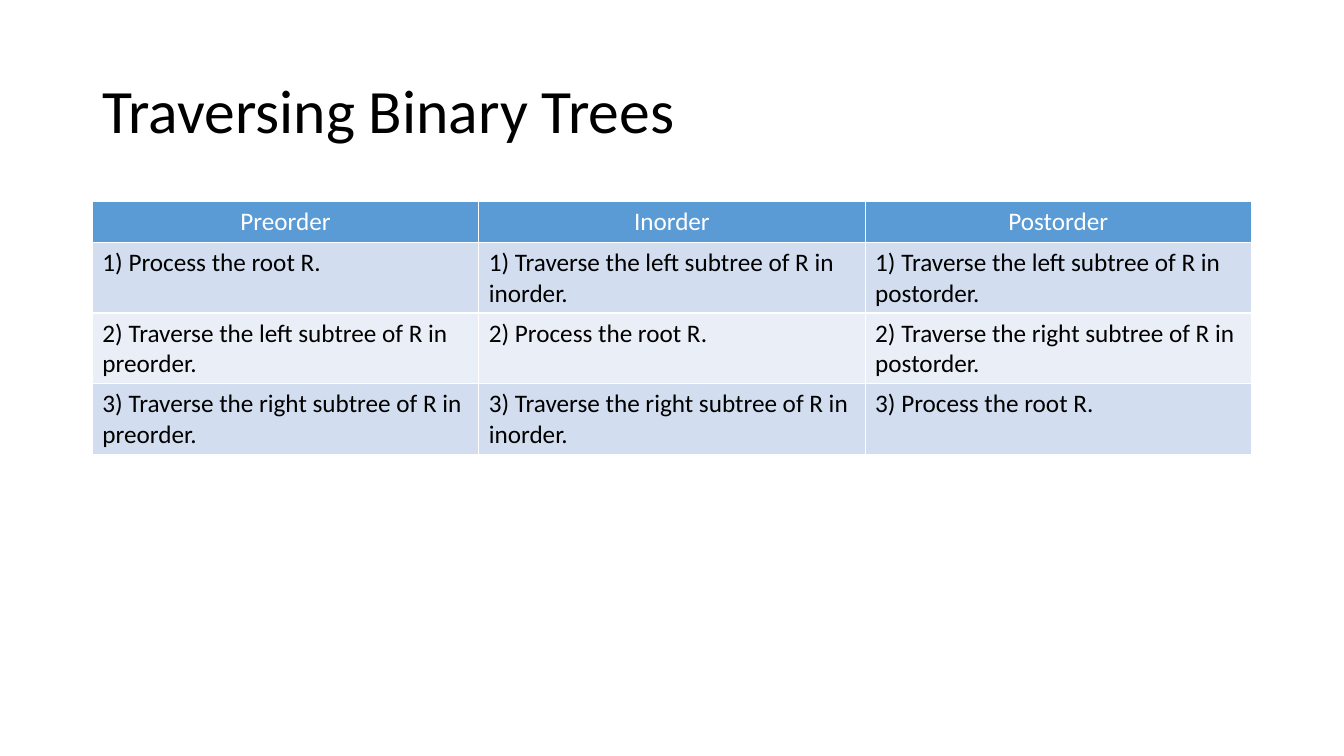
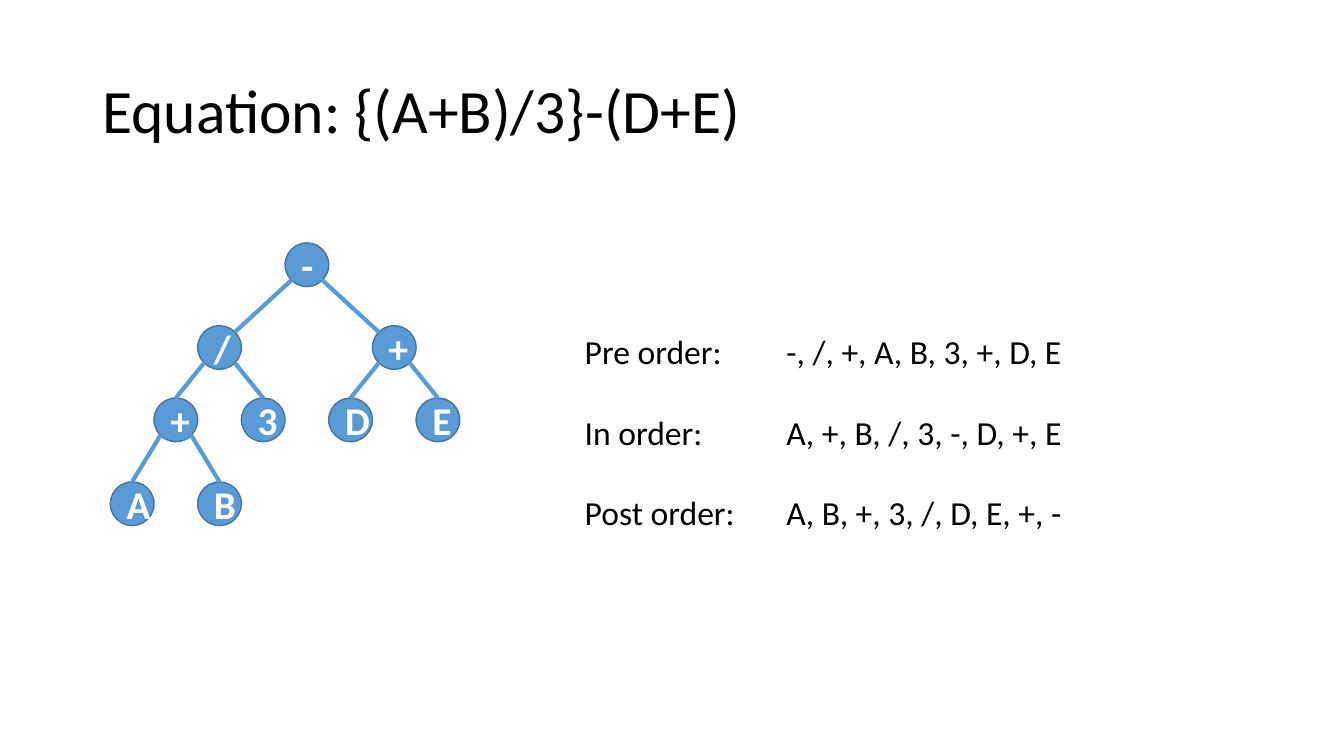
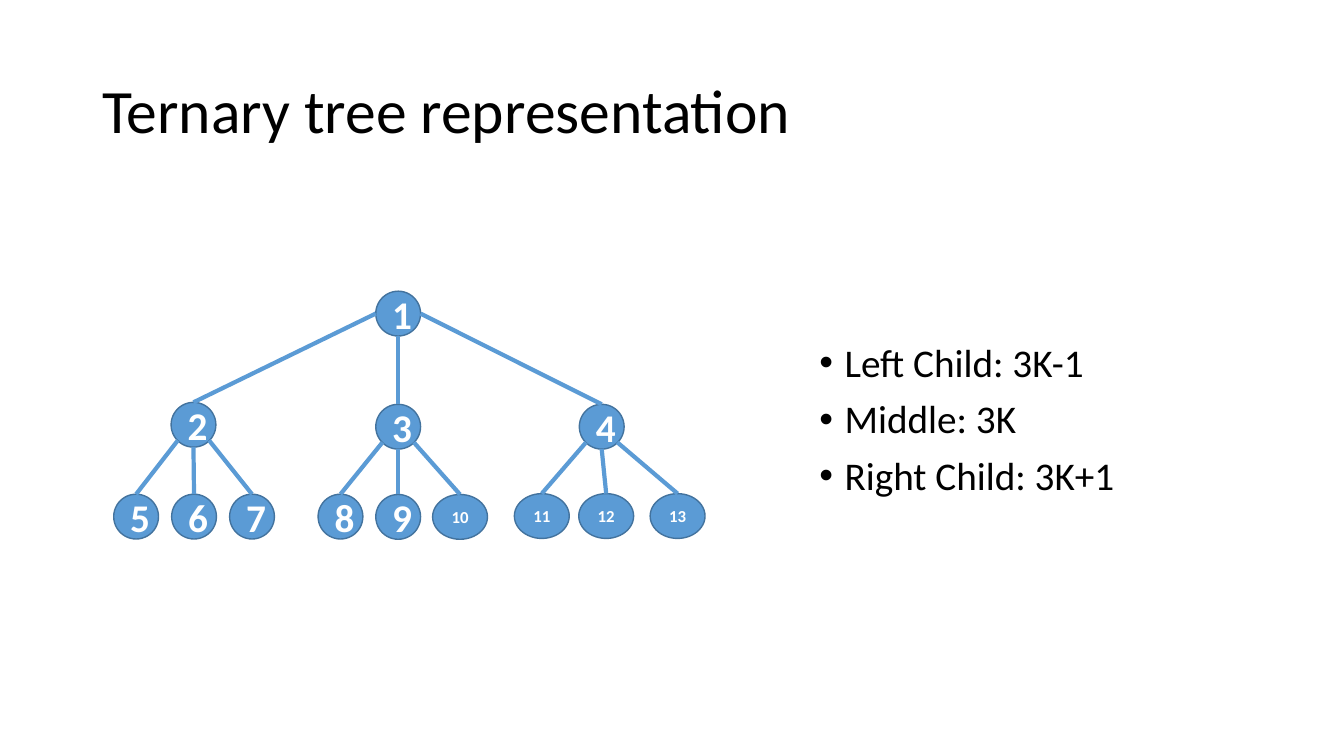
from lxml import etree
from pptx import Presentation
from pptx.dml.color import RGBColor
from pptx.enum.shapes import MSO_CONNECTOR, MSO_SHAPE
from pptx.enum.text import MSO_ANCHOR, PP_ALIGN
from pptx.oxml.ns import qn
from pptx.util import Pt

STRAIGHT = MSO_CONNECTOR.STRAIGHT
OVAL = MSO_SHAPE.OVAL
MIDDLE = MSO_ANCHOR.MIDDLE
LEFT, CENTER = PP_ALIGN.LEFT, PP_ALIGN.CENTER

FONT = "Calibri"
COLORS = {
    "text": "000000",
    "white": "FFFFFF",
    "accent": "5B9BD5",
    "outline": "43739E",
    "odd_row": "D2DEEF",
    "even_row": "EAEFF7",
}

TITLES = [
    "Traversing Binary Trees",
    "Equation: {(A+B)/3}-(D+E)",
    "Ternary tree representation",
]
TITLE_BOX = (66, 28.8, 828, 104.4)

TRAVERSALS = [
    ("Preorder", "Inorder", "Postorder"),
    ("1) Process the root R.",
     "1) Traverse the left subtree of R in inorder.",
     "1) Traverse the left subtree of R in postorder."),
    ("2) Traverse the left subtree of R in preorder.",
     "2) Process the root R.",
     "2) Traverse the right subtree of R in postorder."),
    ("3) Traverse the right subtree of R in preorder.",
     "3) Traverse the right subtree of R in inorder.",
     "3) Process the root R."),
]
TABLE_LEFT, TABLE_TOP = 66, 144
COLUMN_WIDTH, ROW_HEIGHT = 276, 29.2  # rows grow to fit two lines

# Nodes run level by level, so child number i hangs under (i - 1) // branches.
EQUATION_NODES = [  # label, column, level
    ("-", 4, 0),
    ("/", 2, 1), ("+", 6, 1),
    ("+", 1, 2), ("3", 3, 2), ("D", 5, 2), ("E", 7, 2),
    ("A", 0, 3), ("B", 2, 3),
]
EQUATION_LEFT, EQUATION_SIZE = 78.8, 31.2
EQUATION_LEVELS = (173.5, 232.6, 284.3, 344.2)
EQUATION_ORDERS = [
    ("Pre order:", "-, /, +, A, B, 3, +, D, E"),
    ("In order:", "A, +, B, /, 3, -, D, +, E"),
    ("Post order:", "A, B, +, 3, /, D, E, +, -"),
]
ORDERS_BOX = (410.6, 232.8, 368, 152.6)
ORDERS_TAB = 144

TERNARY_NODES = [  # left, top, in numbering order
    (268.4, 208),
    (122.2, 287.4), (268.4, 288.8), (413.8, 288.8),
    (81.2, 353), (122.6, 353), (164, 353),
    (227.2, 353), (268.4, 353.2), (309, 353.2),
    (367.4, 352.6), (413.4, 352.6), (464.4, 352.6),
]
TERNARY_HEIGHT, WIDE_NODE = 32, 39.2
CHILD_RULES = ["Left Child: 3K-1", "Middle: 3K", "Right Child: 3K+1"]
RULES_BOX = (578.2, 241.8, 267, 124)

# Points on an oval, as offsets from its centre in widths and heights.
DIAGONAL = 0.35
TOP, BOTTOM = (0, -0.5), (0, 0.5)
TOP_LEFT, TOP_RIGHT = (-DIAGONAL, -DIAGONAL), (DIAGONAL, -DIAGONAL)
BOTTOM_LEFT, BOTTOM_RIGHT = (-DIAGONAL, DIAGONAL), (DIAGONAL, DIAGONAL)
SIDE_LEFT, SIDE_RIGHT = (-0.5, 0), (0.5, 0)

# Each branch is a pair: point on the parent, point on the child.
BINARY_BRANCHES = ((BOTTOM_LEFT, TOP), (BOTTOM_RIGHT, TOP))
BINARY_ROOT = ((BOTTOM_LEFT, TOP_RIGHT), (BOTTOM_RIGHT, TOP_LEFT))
TERNARY_BRANCHES = ((BOTTOM_LEFT, TOP), (BOTTOM, TOP), (BOTTOM_RIGHT, TOP))
TERNARY_ROOT = ((SIDE_LEFT, TOP), (BOTTOM, TOP), (SIDE_RIGHT, TOP))


def rgb(name):
    """Look up a named colour."""
    return RGBColor.from_string(COLORS[name])


def style(paragraph, size, color="text", bold=False, align=LEFT):
    """Set font and alignment of one paragraph."""
    paragraph.font.name = FONT
    paragraph.font.size = Pt(size)
    paragraph.font.bold = bold
    paragraph.font.color.rgb = rgb(color)
    paragraph.alignment = align


def add_text(slide, box, lines, size):
    """Add a wrapped text box with one paragraph per line."""
    frame = slide.shapes.add_textbox(*map(Pt, box)).text_frame
    frame.word_wrap = True
    frame.text = "\n".join(lines)
    for paragraph in frame.paragraphs:
        style(paragraph, size)
    return frame


def new_slide(presentation, title):
    """Add a blank slide with the shared title."""
    slide = presentation.slides.add_slide(presentation.slide_layouts[6])
    frame = add_text(slide, TITLE_BOX, [title], 44)
    frame.vertical_anchor = MIDDLE
    frame.paragraphs[0].line_spacing = 0.9
    return slide


def add_borders(cell):
    """Draw thin white lines around a table cell."""
    properties = cell._tc.get_or_add_tcPr()
    for side in ("a:lnL", "a:lnR", "a:lnT", "a:lnB"):
        line = etree.SubElement(properties, qn(side), w=str(Pt(1)))
        fill = etree.SubElement(line, qn("a:solidFill"))
        etree.SubElement(fill, qn("a:srgbClr"), val=COLORS["white"])


def add_traversal_table(slide):
    """Add the table that compares the three traversals."""
    row_count, column_count = len(TRAVERSALS), len(TRAVERSALS[0])
    table = slide.shapes.add_table(
        row_count, column_count, Pt(TABLE_LEFT), Pt(TABLE_TOP),
        Pt(COLUMN_WIDTH * column_count), Pt(ROW_HEIGHT * row_count)).table
    for column in table.columns:
        column.width = Pt(COLUMN_WIDTH)
    for r, texts in enumerate(TRAVERSALS):
        header = r == 0
        table.rows[r].height = Pt(ROW_HEIGHT)
        fill = "accent" if header else "odd_row" if r % 2 else "even_row"
        for c, text in enumerate(texts):
            cell = table.cell(r, c)
            add_borders(cell)
            cell.fill.solid()
            cell.fill.fore_color.rgb = rgb(fill)
            cell.text = text
            style(cell.text_frame.paragraphs[0], 18,
                  "white" if header else "text",
                  align=CENTER if header else LEFT)


def add_node(slide, label, left, top, width, height):
    """Add one labelled tree node; two-digit labels are small."""
    node = slide.shapes.add_shape(OVAL, Pt(left), Pt(top), Pt(width), Pt(height))
    node.shadow.inherit = False
    node.fill.solid()
    node.fill.fore_color.rgb = rgb("accent")
    node.line.color.rgb = rgb("outline")
    node.line.width = Pt(1)
    node.text_frame.text = label
    node.text_frame.vertical_anchor = MIDDLE
    style(node.text_frame.paragraphs[0], 28 if len(label) == 1 else 12,
          "white", bold=True, align=CENTER)
    return node


def node_point(node, offset):
    """Return a point on a node, given its offset from the centre."""
    across, down = offset
    return (int(node.left + node.width * (0.5 + across)),
            int(node.top + node.height * (0.5 + down)))


def add_branch(slide, parent, child, ends):
    """Join a point on the parent to a point on its child."""
    start, end = ends
    line = slide.shapes.add_connector(
        STRAIGHT, *node_point(parent, start), *node_point(child, end))
    line.line.color.rgb = rgb("accent")
    line.line.width = Pt(3)
    etree.SubElement(line._element.spPr, qn("a:effectLst"))


def add_tree(slide, nodes, branches, root_branches):
    """Draw nodes given level by level, then the branches between them."""
    shapes = [add_node(slide, *node) for node in nodes]
    for i, child in enumerate(shapes[1:]):
        parent, branch = divmod(i, len(branches))
        ends = branches if parent else root_branches
        add_branch(slide, shapes[parent], child, ends[branch])


def add_property(paragraph, tag, **attributes):
    """Add a paragraph property ahead of the default run properties."""
    element = etree.Element(qn(tag), **attributes)
    paragraph._p.pPr.find(qn("a:defRPr")).addprevious(element)
    return element


def add_bullet(paragraph):
    """Give a paragraph a hanging bullet."""
    properties = paragraph._p.pPr
    properties.set("marL", str(Pt(18)))
    properties.set("indent", str(Pt(-18)))
    add_property(paragraph, "a:buFont", typeface="Arial")
    add_property(paragraph, "a:buChar", char="•")


def add_tab_stop(paragraph, position):
    """Give a paragraph one left tab stop."""
    stops = add_property(paragraph, "a:tabLst")
    etree.SubElement(stops, qn("a:tab"), pos=str(Pt(position)), algn="l")


def build_traversal_slide(presentation):
    """Build the table slide."""
    add_traversal_table(new_slide(presentation, TITLES[0]))


def build_equation_slide(presentation):
    """Build the expression tree and its three orders."""
    slide = new_slide(presentation, TITLES[1])
    nodes = [(label, EQUATION_LEFT + column * EQUATION_SIZE,
              EQUATION_LEVELS[level], EQUATION_SIZE, EQUATION_SIZE)
             for label, column, level in EQUATION_NODES]
    add_tree(slide, nodes, BINARY_BRANCHES, BINARY_ROOT)
    lines = ["\t".join(order) for order in EQUATION_ORDERS]
    for i, paragraph in enumerate(add_text(slide, ORDERS_BOX, lines, 24).paragraphs):
        paragraph.space_before = Pt(28.8 if i else 0)
        add_tab_stop(paragraph, ORDERS_TAB)


def build_ternary_slide(presentation):
    """Build the numbered ternary tree and its child rules."""
    slide = new_slide(presentation, TITLES[2])
    nodes = [(str(number), left, top,
              WIDE_NODE if number > 9 else TERNARY_HEIGHT, TERNARY_HEIGHT)
             for number, (left, top) in enumerate(TERNARY_NODES, 1)]
    add_tree(slide, nodes, TERNARY_BRANCHES, TERNARY_ROOT)
    for paragraph in add_text(slide, RULES_BOX, CHILD_RULES, 28).paragraphs:
        paragraph.line_spacing = 0.9
        paragraph.space_before = Pt(10)
        add_bullet(paragraph)


def main():
    """Build and save the presentation."""
    presentation = Presentation()
    presentation.slide_width, presentation.slide_height = Pt(960), Pt(540)
    build_traversal_slide(presentation)
    build_equation_slide(presentation)
    build_ternary_slide(presentation)
    presentation.save("out.pptx")


main()
